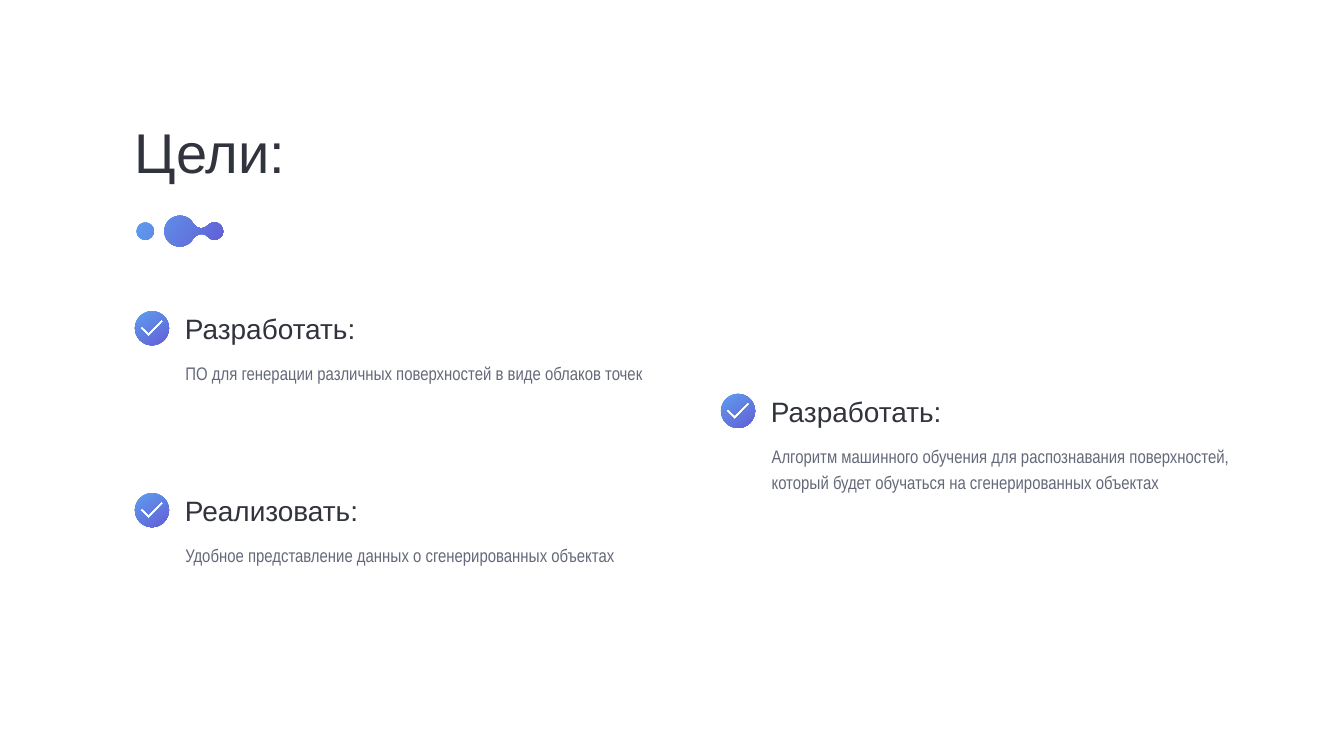
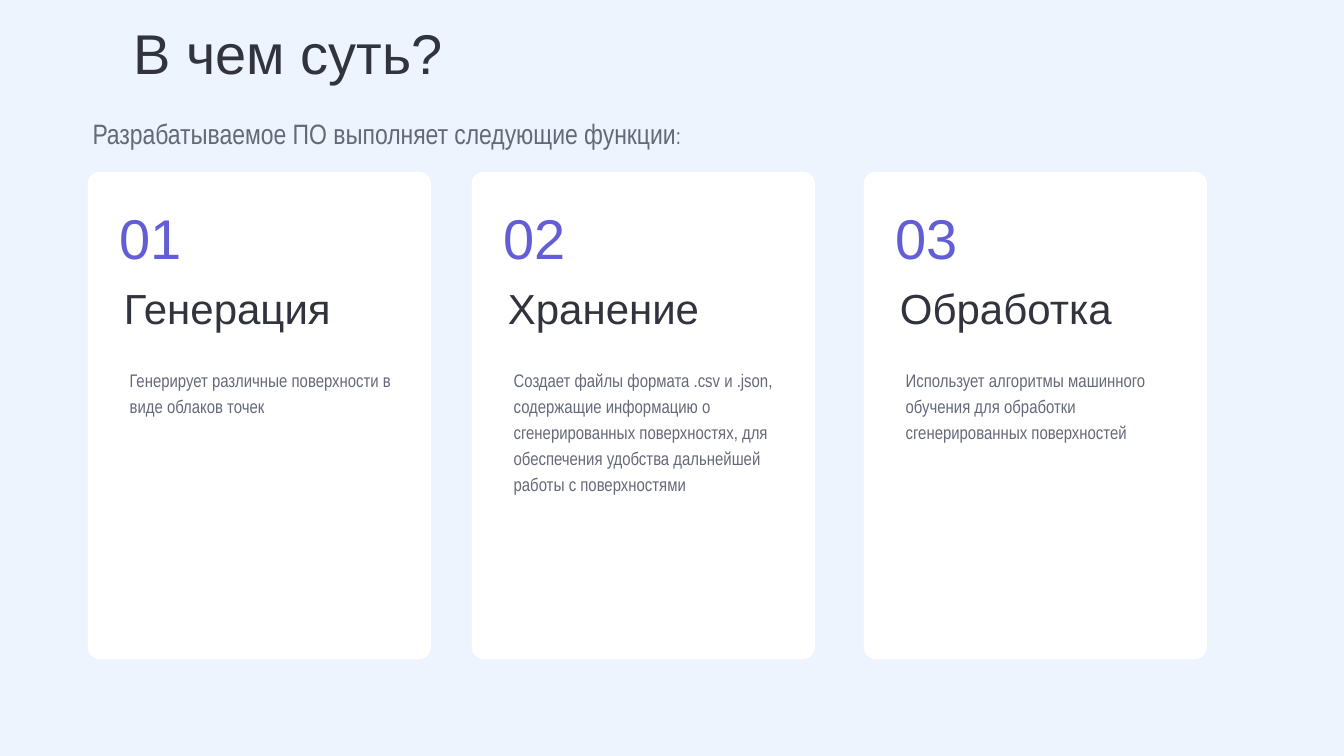
import lxml.etree
import pptx
import pptx.dml.color
import pptx.enum.shapes
import pptx.enum.text
import pptx.oxml.ns
import pptx.util

Cm = pptx.util.Cm
qn = pptx.oxml.ns.qn

WHITE, PALE = "FFFFFF", "EDF4FD"
DARK, GREY = "31333D", "646979"
BLUE, VIOLET = "5E9EEE", "635ED6"
HEAD_FONT, BODY_FONT = "Arial", "Arial Narrow"
TITLE_SIZE, HEAD_SIZE, BODY_SIZE = 80, 40, 26

# All lengths below are in centimetres.
GOALS_TITLE = "Цели:"
# icon left, icon top, heading, description, number of lines
GOALS = [
    (6.8, 15.68, "Разработать:",
     "ПО для генерации различных поверхностей в виде облаков точек", 1),
    (6.8, 24.85, "Реализовать:",
     "Удобное представление данных о сгенерированных объектах", 1),
    (36.34, 19.85, "Разработать:",
     "Алгоритм машинного обучения для распознавания поверхностей, "
     "который будет обучаться на сгенерированных объектах", 2),
]

IDEA_TITLE = "В чем суть?"
IDEA_LEAD = [("Разрабатываемое ПО выполняет следующие функции", 40), (":", 32)]
# card left, heading, description, number of lines
CARDS = [
    (4.42, "Генерация", "Генерирует различные поверхности в виде облаков точек", 2),
    (23.77, "Хранение",
     "Создает файлы формата .csv и .json, содержащие информацию о "
     "сгенерированных поверхностях, для обеспечения удобства дальнейшей "
     "работы с поверхностями", 5),
    (43.53, "Обработка",
     "Использует алгоритмы машинного обучения для обработки "
     "сгенерированных поверхностей", 3),
]
CARD_TOP, CARD_WIDTH, CARD_HEIGHT = 8.66, 17.3, 24.56

# An outline is a list of segments: one point for a line, three for a curve.
# The last point of the last segment is also where the outline starts.
ICON_RADIUS = 0.86
TICK = [[(0.25, 0.86)], [(0.36, 0.76)], [(0.69, 1.07)],
        [(1.35, 0.41)], [(1.45, 0.51)], [(0.69, 1.3)]]
DROP = [
    [(1.78, 0), (1.4, 0.33), (1.4, 0.79)],
    [(1.4, 1.19), (1.73, 1.55), (2.16, 1.55)],
    [(2.46, 1.57), (2.74, 1.4), (2.87, 1.14)],
    [(2.95, 1.04), (3.05, 0.97), (3.15, 0.94)],
    [(3.33, 0.89), (3.48, 0.94), (3.61, 1.07)],
    [(3.86, 1.37), (4.37, 1.19), (4.37, 0.79)],
    [(4.37, 0.38), (3.86, 0.18), (3.61, 0.48)],
    [(3.51, 0.58), (3.38, 0.64), (3.25, 0.64)],
    [(3.1, 0.64), (2.95, 0.53), (2.87, 0.41)],
    [(2.74, 0.15), (2.49, 0), (2.21, 0)],
]


def rgb(colour):
    return pptx.dml.color.RGBColor.from_string(colour)


def write(sp, text, size=BODY_SIZE, colour=GREY, font=BODY_FONT, middle=False,
          spacing=None, insets=(0.15, 0.15)):
    """Fill sp with one paragraph; text is a string or a list of (text, size) runs."""
    anchors = pptx.enum.text.MSO_ANCHOR
    tf = sp.text_frame
    tf.word_wrap = True
    tf.auto_size = pptx.enum.text.MSO_AUTO_SIZE.SHAPE_TO_FIT_TEXT
    tf.vertical_anchor = anchors.MIDDLE if middle else anchors.TOP
    tf.margin_left = tf.margin_right = Cm(insets[0])
    tf.margin_top = tf.margin_bottom = Cm(insets[1])
    p = tf.paragraphs[0]
    p.alignment = pptx.enum.text.PP_ALIGN.LEFT
    p.space_before = pptx.util.Pt(0)
    if spacing:
        p.line_spacing = spacing
    for run_text, run_size in [(text, size)] if isinstance(text, str) else text:
        r = p.add_run()
        r.text = run_text
        r.font.name = font
        r.font.size = pptx.util.Pt(run_size)
        r.font.color.rgb = rgb(colour)


def add_text(s, left, top, width, height, text, **fmt):
    write(s.shapes.add_textbox(Cm(left), Cm(top), Cm(width), Cm(height)), text, **fmt)


def add_heading(s, left, top, width, height, text, size=HEAD_SIZE, colour=DARK):
    add_text(s, left, top, width, height, text, size=size, colour=colour,
             font=HEAD_FONT, middle=True)


def add_description(s, left, top, width, text, lines):
    add_text(s, left, top, width, 0.16 + 1.33 * lines, text, spacing=1.2)


def add_slide(prs, background, title, left, top):
    s = prs.slides.add_slide(prs.slide_layouts[5])
    s.background.fill.solid()
    s.background.fill.fore_color.rgb = rgb(background)
    sp = s.shapes.title
    sp.left, sp.top, sp.width, sp.height = Cm(left), Cm(top), Cm(33.48), Cm(3.71)
    write(sp, title, size=TITLE_SIZE, colour=DARK, font=HEAD_FONT, middle=True)
    return s


def circle(x, y, radius):
    """Outline of four curves, starting at the top."""
    k = 0.55
    quarters = []
    for ux, uy, vx, vy in ((0, -1, -1, 0), (-1, 0, 0, 1), (0, 1, 1, 0), (1, 0, 0, -1)):
        units = ((ux + k * vx, uy + k * vy), (vx + k * ux, vy + k * uy), (vx, vy))
        quarters.append([(x + radius * a, y + radius * b) for a, b in units])
    return quarters


def add_gradient_outline(s, left, top, outlines, angle):
    """Draw closed outlines as one shape; angle runs clockwise."""
    placed = [[[(Cm(left + x), Cm(top + y)) for x, y in segment] for segment in outline]
              for outline in outlines]
    builder = s.shapes.build_freeform(*placed[0][-1][-1])
    for i, outline in enumerate(placed):
        if i:
            builder.move_to(*outline[-1][-1])
        builder.add_line_segments([segment[-1] for segment in outline], close=True)
    sp = builder.convert_to_shape()
    bend_lines(sp, [segment for outline in placed for segment in outline])
    sp.shadow.inherit = False
    sp.line.fill.background()
    sp.fill.gradient()
    sp.fill.gradient_angle = 360 - angle
    for stop, colour in zip(sp.fill.gradient_stops, (BLUE, VIOLET)):
        stop.color.rgb = rgb(colour)


def bend_lines(sp, segments):
    """Turn each line drawn for a three-point segment into a curve."""
    lines = list(sp._element.iter(qn("a:lnTo")))
    for line, segment in zip(lines, segments):
        if len(segment) == 3:
            bend = lxml.etree.Element(qn("a:cubicBezTo"))
            for x, y in segment:
                lxml.etree.SubElement(bend, qn("a:pt"), x=str(x - sp.left), y=str(y - sp.top))
            line.getparent().replace(line, bend)


def add_goal(s, left, top, heading, text, lines):
    disc = circle(ICON_RADIUS, ICON_RADIUS, ICON_RADIUS)
    add_gradient_outline(s, left, top, [disc, TICK], 56)
    add_heading(s, left + 2.37, top - 0.11, 19.1, 2, heading)
    add_description(s, left + 2.4, top + 2.23, 24.05, text, lines)


def add_card(s, number, left, heading, text, lines):
    sp = s.shapes.add_shape(pptx.enum.shapes.MSO_SHAPE.ROUNDED_RECTANGLE,
                            Cm(left), Cm(CARD_TOP), Cm(CARD_WIDTH), Cm(CARD_HEIGHT))
    sp.adjustments[0] = 0.035
    sp.shadow.inherit = False
    sp.fill.solid()
    sp.fill.fore_color.rgb = rgb(WHITE)
    sp.line.fill.background()
    add_heading(s, left + 1.68, CARD_TOP + 5.44, 13.94, 2.84, heading, size=60)
    add_description(s, left + 1.97, CARD_TOP + 9.56, 13.84, text, lines)
    add_heading(s, left + 1.47, CARD_TOP + 1.45, 6.02, 3.71, f"{number:02}",
                size=TITLE_SIZE, colour=VIOLET)


def main():
    prs = pptx.Presentation()
    prs.slide_width, prs.slide_height = Cm(67.74), Cm(38.1)

    s = add_slide(prs, WHITE, GOALS_TITLE, 6.65, 5.74)
    add_gradient_outline(s, 6.88, 10.87, [DROP, circle(0.44, 0.78, 0.44)], 34)
    for goal in GOALS:
        add_goal(s, *goal)

    s = add_slide(prs, PALE, IDEA_TITLE, 6.58, 0.76)
    add_text(s, 4.42, 5.75, 33.88, 1.96, IDEA_LEAD, insets=(0.25, 0.13))
    for number, card in enumerate(CARDS, 1):
        add_card(s, number, *card)

    prs.save("out.pptx")


if __name__ == "__main__":
    main()
